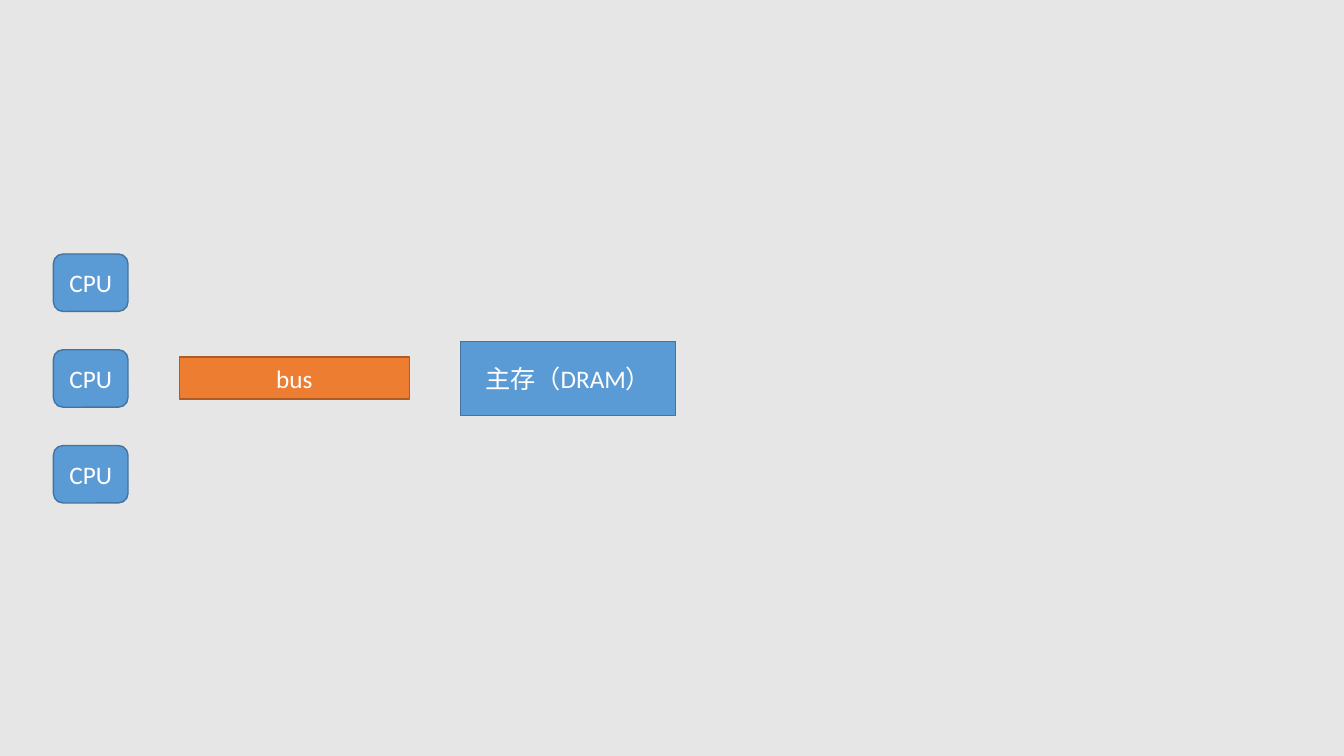
"""Build a slide of three CPUs, a bus and main memory."""
from pptx import Presentation
from pptx.dml.color import RGBColor
from pptx.enum import shapes, text
from pptx.util import Inches, Pt


def paint(fill, color):
    fill.solid()
    fill.fore_color.rgb = RGBColor.from_string(color)


def add_block(kind, label, left, top, width, height, fill, outline):
    block = slide.shapes.add_shape(
        kind, Inches(left), Inches(top), Inches(width), Inches(height))
    block.shadow.inherit = False
    paint(block.fill, fill)
    paint(block.line.fill, outline)
    block.line.width = Pt(1)
    frame = block.text_frame
    frame.text = label
    frame.word_wrap = True
    frame.vertical_anchor = text.MSO_ANCHOR.MIDDLE
    paragraph = frame.paragraphs[0]
    paragraph.alignment = text.PP_ALIGN.CENTER
    font = paragraph.runs[0].font
    font.name = "Calibri"
    font.size = Pt(18)
    paint(font.fill, "FFFFFF")


deck = Presentation()
deck.slide_width, deck.slide_height = Inches(13.33), Inches(7.5)
slide = deck.slides.add_slide(deck.slide_layouts[6])
paint(slide.background.fill, "E7E6E6")

RECT = shapes.MSO_SHAPE.RECTANGLE
ROUNDED = shapes.MSO_SHAPE.ROUNDED_RECTANGLE
BLUE = ("5B9BD5", "43739E")
ORANGE = ("ED7D31", "AF5C24")

add_block(RECT, "主存（DRAM）", 4.57, 3.39, 2.13, 0.73, *BLUE)
for row in range(3):
    add_block(ROUNDED, "CPU", 0.53, 2.52 + 0.95 * row, 0.74, 0.57, *BLUE)
add_block(RECT, "bus", 1.78, 3.54, 2.28, 0.42, *ORANGE)

deck.save("out.pptx")
